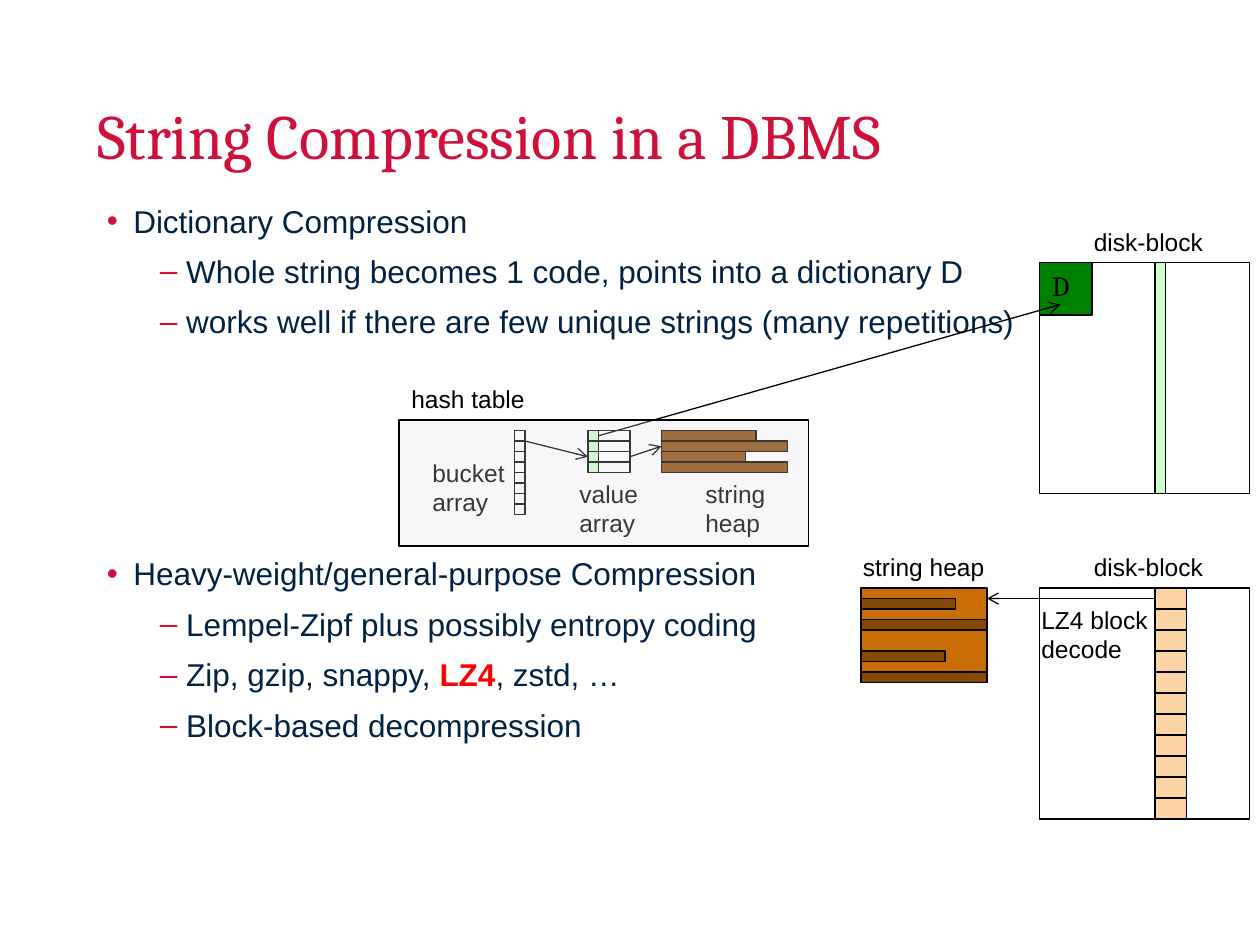
from lxml import etree
from pptx import Presentation
from pptx.dml.color import RGBColor
from pptx.enum.shapes import MSO_CONNECTOR, MSO_SHAPE
from pptx.enum.text import MSO_ANCHOR, MSO_AUTO_SIZE, PP_ALIGN
from pptx.oxml.ns import qn
from pptx.util import Inches, Pt

RECT = MSO_SHAPE.RECTANGLE
LINE = MSO_CONNECTOR.STRAIGHT
TOP = MSO_ANCHOR.TOP
MIDDLE = MSO_ANCHOR.MIDDLE
LEFT = PP_ALIGN.LEFT
FIXED = MSO_AUTO_SIZE.NONE

BLACK = RGBColor(0x00, 0x00, 0x00)
WHITE = RGBColor(0xFF, 0xFF, 0xFF)
CRIMSON = RGBColor(0xCF, 0x10, 0x3A)
NAVY = RGBColor(0x00, 0x22, 0x44)
RED = RGBColor(0xFF, 0x00, 0x00)
MINT = RGBColor(0xCC, 0xFF, 0xCC)
GREEN = RGBColor(0x00, 0x80, 0x00)
PEACH = RGBColor(0xFC, 0xD3, 0xA5)
ORANGE = RGBColor(0xC9, 0x6D, 0x07)
BROWN = RGBColor(0x86, 0x49, 0x05)
LILAC = RGBColor(0xE7, 0xDF, 0xEB)

UNIT = Inches(1) / 12  # the diagrams sit on a grid of twelfths of an inch

deck = Presentation()
deck.slide_width = Inches(10)
deck.slide_height = Inches(7.5)
slide = deck.slides.add_slide(deck.slide_layouts[5])
shapes = slide.shapes


def write(para, text, size=14, font="Arial", color=BLACK, bold=False):
    """Add one formatted run to a paragraph."""
    run = para.add_run()
    run.text = text
    run.font.size = Pt(size)
    run.font.name = font
    run.font.color.rgb = color
    run.font.bold = bold


def box(x, y, wide, high, fill):
    """Add an outlined rectangle, measured in grid units."""
    rect = shapes.add_shape(RECT, *[int(n * UNIT) for n in (x, y, wide, high)])
    rect.shadow.inherit = False
    rect.fill.solid()
    rect.fill.fore_color.rgb = fill
    rect.line.color.rgb = BLACK
    rect.line.width = Pt(0.75)
    return rect


# Title
title = shapes.title
title.left, title.top = Inches(0.67), Inches(0.83)
title.width, title.height = Inches(8.74), Inches(0.58)
frame = title.text_frame
frame.auto_size = FIXED
frame.vertical_anchor = MIDDLE
para = frame.paragraphs[0]
para.alignment = LEFT
para.line_spacing = 0.8
write(para, "String Compression in a DBMS", size=36, font="Cambria", color=CRIMSON)

# Bullet list: level, space before, runs with their emphasis
GAP = 7.2
items = [
    (0, 0, [("Dictionary Compression", False)]),
    (1, GAP, [("Whole string becomes 1 code, points into a dictionary D", False)]),
    (1, GAP, [("works well if there are few unique strings (many repetitions)", False)]),
    (0, 122.5, [("Heavy-weight/general-purpose Compression", False)]),
    (1, GAP, [("Lempel-Zipf plus possibly entropy coding", False)]),
    (1, GAP, [("Zip, gzip, snappy, ", False), ("LZ4", True), (", zstd, …", False)]),
    (1, GAP, [("Block-based decompression", False)]),
]
body = shapes.add_textbox(Inches(0.75), Inches(1.55), Inches(8.74), Inches(5.28))
frame = body.text_frame
frame.word_wrap = True
for i, (level, space, runs) in enumerate(items):
    para = frame.add_paragraph() if i else frame.paragraphs[0]
    para.level = level
    para.space_before = Pt(space)
    props = para._p.get_or_add_pPr()
    props.set("marL", str(Inches((0.21, 0.63)[level])))
    props.set("indent", str(Inches(-0.21)))
    tint = etree.SubElement(props, qn("a:buClr"))
    etree.SubElement(tint, qn("a:srgbClr"), val=str(CRIMSON))
    etree.SubElement(props, qn("a:buFont"), typeface="Arial")
    etree.SubElement(props, qn("a:buChar"), char="•–"[level])
    for text, strong in runs:
        write(para, text, size=18, color=RED if strong else NAVY, bold=strong)

# Disk block with dictionary
box(99, 25, 20, 22, WHITE)
box(110, 25, 1, 22, MINT)
dictionary = box(99, 25, 5, 5, GREEN)
dictionary.text_frame.vertical_anchor = TOP
para = dictionary.text_frame.paragraphs[0]
para.alignment = LEFT
write(para, "D", size=16, font="Cambria")

# Disk block with compressed blocks
box(99, 56, 20, 22, WHITE)
for i in range(11):
    box(110, 56 + 2 * i, 3, 2, PEACH)

# Decoded string heap
box(82, 56, 12, 8, ORANGE)
for y, wide in ((57, 9), (59, 12), (62, 8), (64, 12)):
    box(82, y, wide, 1, BROWN)

# Hash table: bucket array, value array, string heap
for i in range(8):
    box(49, 41 + i, 1, 1, WHITE)
for i, wide in enumerate((9, 12, 8, 12)):
    box(56, 41 + i, 1, 1, MINT)
    box(57, 41 + i, 3, 1, WHITE)
    box(63, 41 + i, wide, 1, BROWN)

# Labels
labels = [
    (103, 21, "disk-block"),
    (103, 52, "disk-block"),
    (81, 52, "string heap"),
    (98, 57, "LZ4 block\ndecode"),
    (38, 36, "hash table"),
    (40, 43, "bucket\narray"),
    (54, 45, "value\narray"),
    (66, 45, "string\nheap"),
]
for x, y, text in labels:
    lines = text.split("\n")
    label = shapes.add_textbox(int(x * UNIT), int(y * UNIT), Inches(1.4),
                               Inches(0.11 + 0.23 * len(lines)))
    frame = label.text_frame
    frame.word_wrap = True
    for i, line in enumerate(lines):
        para = frame.add_paragraph() if i else frame.paragraphs[0]
        write(para, line)

# Arrows
arrows = [
    (110, 57, 94, 57),
    (50, 42, 56, 43.5),
    (60, 43.5, 63, 42.5),
    (57, 41.5, 101, 29),
]
for ends in arrows:
    arrow = shapes.add_connector(LINE, *[int(n * UNIT) for n in ends])
    arrow.line.color.rgb = BLACK
    arrow.line.width = Pt(0.75)
    etree.SubElement(arrow.line._get_or_add_ln(), qn("a:tailEnd"), type="arrow")
    etree.SubElement(arrow._element.spPr, qn("a:effectLst"))

# Translucent panel over the hash table
panel = box(38, 40, 39, 12, LILAC)
color = panel._element.spPr.find(qn("a:solidFill")).find(qn("a:srgbClr"))
etree.SubElement(color, qn("a:alpha"), val="25000")

deck.save("out.pptx")
